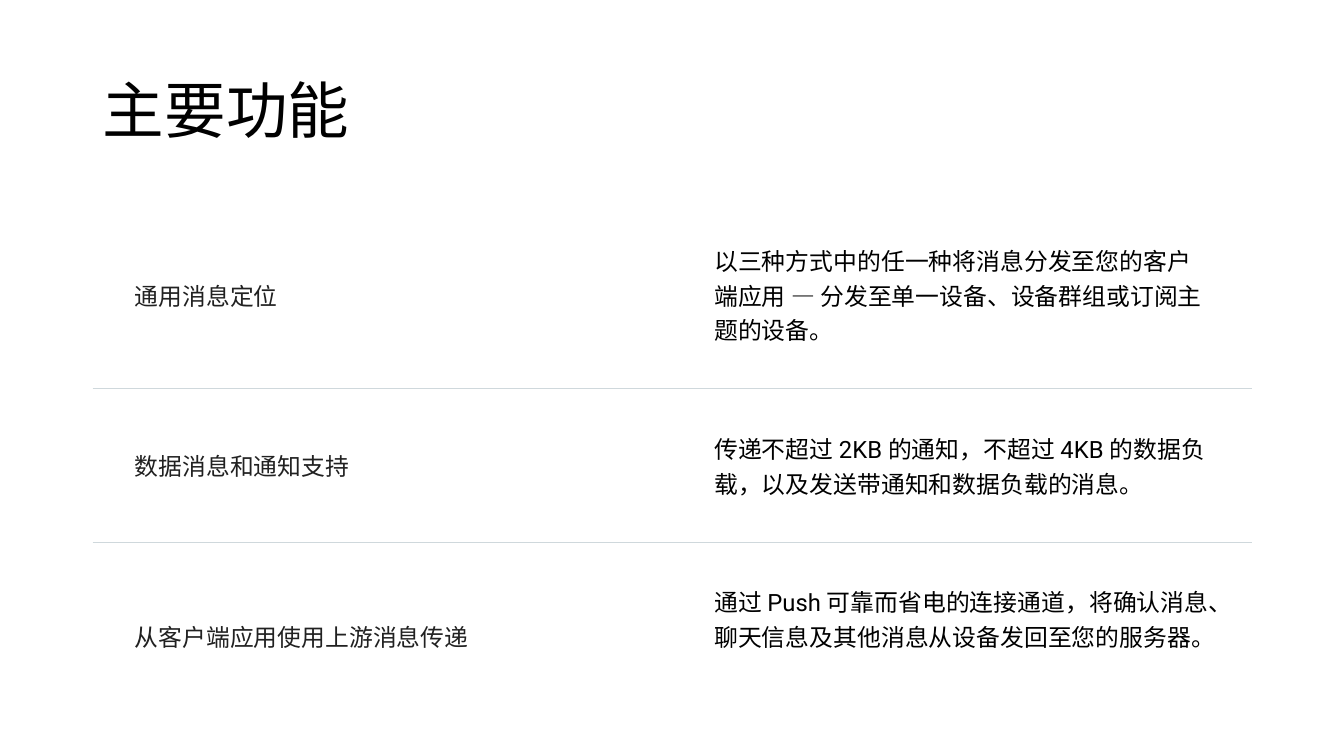
from lxml import etree
from pptx import Presentation
from pptx.dml.color import RGBColor
from pptx.enum import text
from pptx.oxml import ns
from pptx.util import Pt

BLACK = RGBColor(0x00, 0x00, 0x00)
DARK_GREY = RGBColor(0x21, 0x21, 0x21)
RULE_GREY = RGBColor(0xCF, 0xD8, 0xDC)
CJK_FONT = "Noto Sans CJK SC"
LATIN_FONT = "Roboto"

LEFT, WIDTH = Pt(66.25), Pt(828)
CELL_MARGIN = Pt(30)
ROW_HEIGHTS = (Pt(121), Pt(101), Pt(121))
FEATURES = (
    ("通用消息定位",
     "以三种方式中的任一种将消息分发至您的客户端应用 — 分发至单一设备、设备群组或订阅主题的设备。"),
    ("数据消息和通知支持",
     "传递不超过 2KB 的通知，不超过 4KB 的数据负载，以及发送带通知和数据负载的消息。"),
    ("从客户端应用使用上游消息传递",
     "通过 Push 可靠而省电的连接通道，将确认消息、聊天信息及其他消息从设备发回至您的服务器。"),
)


def format_paragraph(paragraph, size, color, font_name):
    paragraph.alignment = text.PP_ALIGN.LEFT
    font = paragraph.font
    font.name = font_name
    font.size = Pt(size)
    font.bold = False
    font.color.rgb = color
    properties = paragraph._p.pPr.find(ns.qn("a:defRPr"))
    etree.SubElement(properties, ns.qn("a:ea"), typeface=CJK_FONT)


def add_title(slide, wording):
    title = slide.shapes.title
    title.left, title.top, title.width, title.height = LEFT, Pt(29), WIDTH, Pt(104)
    frame = title.text_frame
    frame.text = wording
    frame.auto_size = text.MSO_AUTO_SIZE.NONE
    frame.vertical_anchor = text.MSO_ANCHOR.MIDDLE
    frame.paragraphs[0].line_spacing = 0.9
    format_paragraph(frame.paragraphs[0], 44, BLACK, CJK_FONT)


def set_borders(cell, ruled_sides):
    """Rule the given sides (T, B) and clear the others."""
    properties = cell._tc.get_or_add_tcPr()
    for side in "LRTB":
        line = etree.SubElement(properties, ns.qn(f"a:ln{side}"), w=str(Pt(1)))
        if side in ruled_sides:
            fill = etree.SubElement(line, ns.qn("a:solidFill"))
            etree.SubElement(fill, ns.qn("a:srgbClr"), val=str(RULE_GREY))
        else:
            etree.SubElement(line, ns.qn("a:noFill"))


def fill_cell(cell, wording, color, anchor, ruled_sides):
    cell.text = wording
    cell.vertical_anchor = anchor
    cell.margin_left = cell.margin_right = CELL_MARGIN
    cell.margin_top = cell.margin_bottom = CELL_MARGIN
    set_borders(cell, ruled_sides)
    cell.fill.background()
    format_paragraph(cell.text_frame.paragraphs[0], 17, color, LATIN_FONT)


def add_feature_table(slide):
    frame = slide.shapes.add_table(len(FEATURES), 2, LEFT, Pt(143.5), WIDTH, sum(ROW_HEIGHTS))
    table = frame.table
    table.first_row = table.horz_banding = False
    last = len(FEATURES) - 1
    for index, (name, description) in enumerate(FEATURES):
        table.rows[index].height = ROW_HEIGHTS[index]
        ruled_sides = ("T" if index > 0 else "") + ("B" if index < last else "")
        fill_cell(table.cell(index, 0), name, DARK_GREY, text.MSO_ANCHOR.MIDDLE, ruled_sides)
        fill_cell(table.cell(index, 1), description, BLACK, text.MSO_ANCHOR.TOP, ruled_sides)


def main():
    presentation = Presentation()
    presentation.slide_width, presentation.slide_height = Pt(960), Pt(540)
    slide = presentation.slides.add_slide(presentation.slide_layouts[5])
    add_title(slide, "主要功能")
    add_feature_table(slide)
    presentation.save("out.pptx")


if __name__ == "__main__":
    main()
